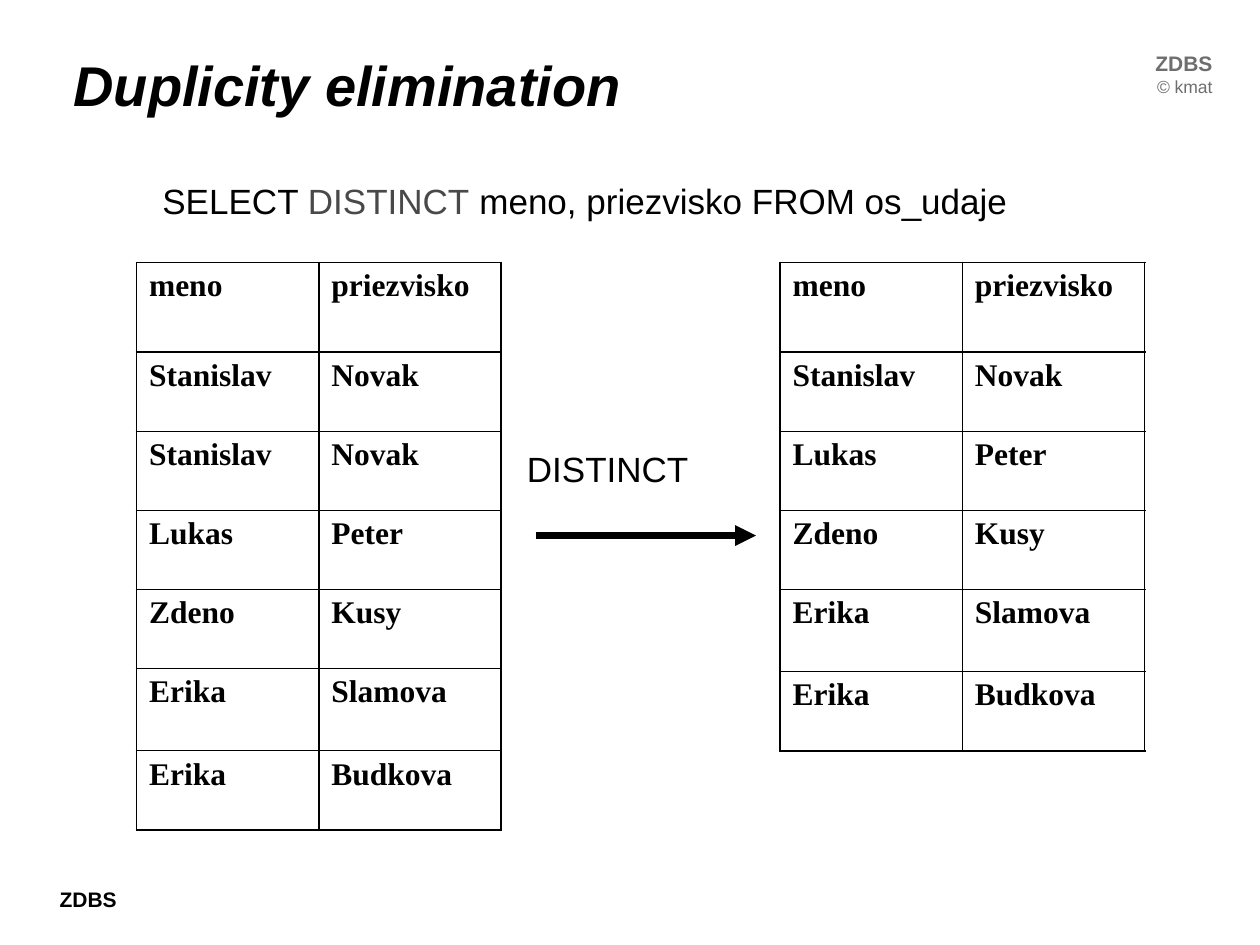
from lxml import etree
from pptx import Presentation
from pptx import util as u
from pptx.dml.color import RGBColor
from pptx.enum import shapes, text
from pptx.oxml import ns

COLOURS = {"ink": "000000", "keyword": "494949", "corner": "6E6E6E"}
THICK, THIN = 1.08, 0.45
HEADER = ("meno", "priezvisko")
NOVAK = ("Stanislav", "Novak")
OTHERS = [("Lukas", "Peter"), ("Zdeno", "Kusy"), ("Erika", "Slamova"), ("Erika", "Budkova")]


def colour(name):
    return RGBColor.from_string(COLOURS[name])


def style_font(font, size, name="Arial", bold=False, italic=False, ink="ink"):
    font.size = u.Pt(size)
    font.name = name
    font.bold = bold
    font.italic = italic
    font.color.rgb = colour(ink)


def add_text(page, area, lines, align=text.PP_ALIGN.LEFT, wrap=False,
             anchor=text.MSO_ANCHOR.TOP, side_margin=7.2):
    box = page.shapes.add_textbox(*map(u.Pt, area))
    frame = box.text_frame
    frame.word_wrap = wrap
    frame.vertical_anchor = anchor
    frame.margin_left = frame.margin_right = u.Pt(side_margin)
    for index, (words, style) in enumerate(lines):
        para = frame.add_paragraph() if index else frame.paragraphs[0]
        para.alignment = align
        para.add_run().text = words
        style_font(para.font, **style)
    return box


def add_query(page):
    box = add_text(page, (85.5, 98.5, 497.5, 32), [("SELECT ", {"size": 20})],
                   text.PP_ALIGN.CENTER, anchor=text.MSO_ANCHOR.MIDDLE)
    para = box.text_frame.paragraphs[0]
    keyword = para.add_run()
    keyword.text = "DISTINCT"
    keyword.font.color.rgb = colour("keyword")
    para.add_run().text = " meno, priezvisko FROM os_udaje"


def set_border(cell, side, width):
    line = etree.SubElement(cell._tc.get_or_add_tcPr(), ns.qn(f"a:ln{side}"),
                            w=str(u.Pt(width)))
    fill = etree.SubElement(line, ns.qn("a:solidFill"))
    etree.SubElement(fill, ns.qn("a:srgbClr"), val=COLOURS["ink"])


def add_name_table(page, left, people):
    rows = [HEADER, *people]
    last = len(rows) - 1
    heights = [51] + [45.25] * (last - 2) + [47, 45.25]
    table = page.shapes.add_table(len(rows), 2, u.Pt(left), u.Pt(150),
                                  u.Pt(208.4), u.Pt(sum(heights))).table
    table.first_row = table.horz_banding = False
    for column in table.columns:
        column.width = u.Pt(104.2)
    for r, (names, height) in enumerate(zip(rows, heights)):
        table.rows[r].height = u.Pt(height)
        top = THICK if r < 2 else THIN
        bottom = THICK if r in (0, last) else THIN
        for c, name in enumerate(names):
            cell = table.cell(r, c)
            cell.text = name
            style_font(cell.text_frame.paragraphs[0].font, 18, "Times New Roman", bold=True)
            for side, width in zip("LRTB", (THICK, THICK, top, bottom)):
                set_border(cell, side, width)
            cell.fill.background()


def add_arrow(page, start, end):
    arrow = page.shapes.add_connector(shapes.MSO_CONNECTOR.STRAIGHT,
                                      *map(u.Pt, (*start, *end)))
    arrow.line.color.rgb = colour("ink")
    arrow.line.width = u.Pt(4)
    etree.SubElement(arrow.line._get_or_add_ln(), ns.qn("a:tailEnd"), type="triangle")
    etree.SubElement(arrow._element.spPr, ns.qn("a:effectLst"))


def main():
    deck = Presentation()
    deck.slide_width, deck.slide_height = u.Pt(720), u.Pt(540)
    page = deck.slides.add_slide(deck.slide_layouts[6])

    add_text(page, (27, 503.25, 47, 36), [("ZDBS", {"size": 12, "bold": True})])
    add_text(page, (653, 25.25, 47, 34),
             [("ZDBS", {"size": 12, "bold": True, "ink": "corner"}),
              ("© kmat", {"size": 10, "ink": "corner"})], text.PP_ALIGN.RIGHT)
    add_text(page, (42, 18, 612, 60),
             [("Duplicity elimination", {"size": 32, "bold": True, "italic": True})],
             wrap=True, anchor=text.MSO_ANCHOR.MIDDLE, side_margin=0)
    add_query(page)
    add_name_table(page, 78, [NOVAK, NOVAK, *OTHERS])
    add_arrow(page, (306, 306), (432, 306))
    add_text(page, (294, 252, 138, 32), [("DISTINCT", {"size": 20})], wrap=True)
    add_name_table(page, 445.75, [NOVAK, *OTHERS])

    deck.save("out.pptx")


if __name__ == "__main__":
    main()
